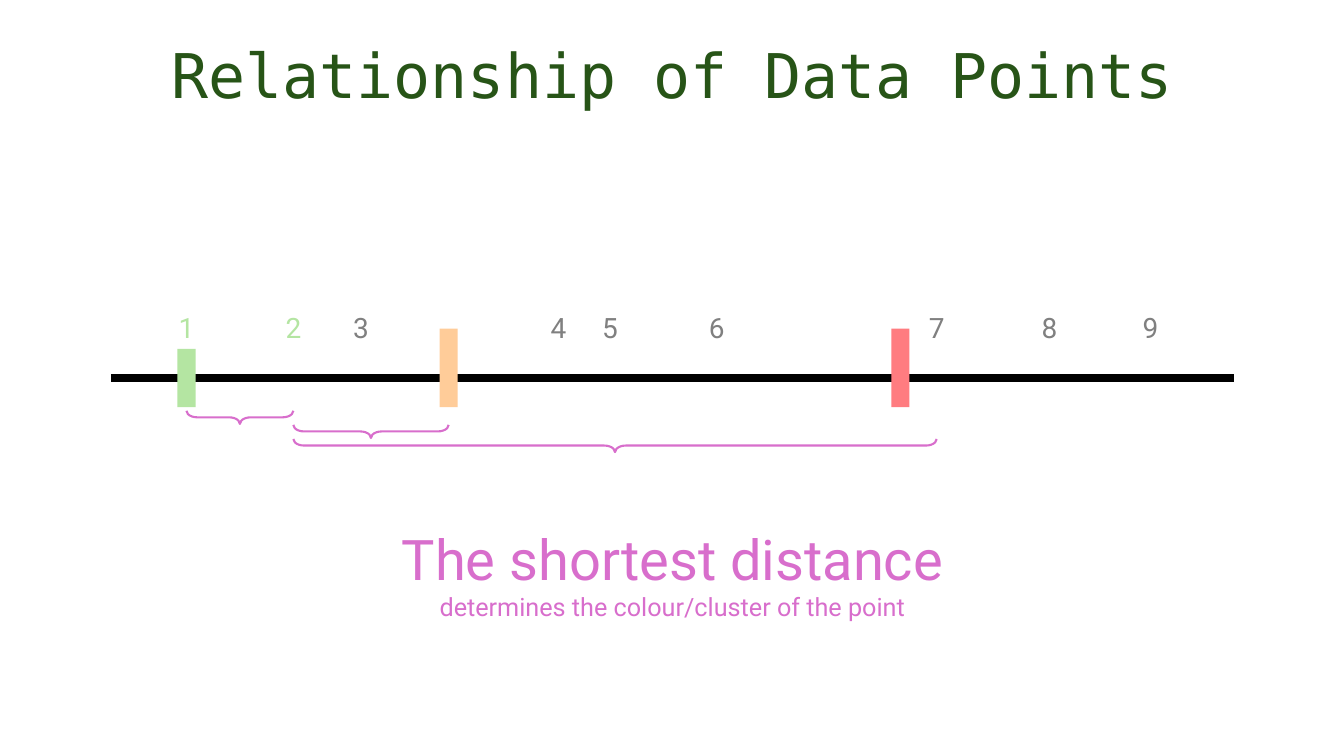
from pptx import Presentation
from pptx.dml.color import RGBColor
from pptx.enum.shapes import MSO_CONNECTOR, MSO_SHAPE
from pptx.enum.text import MSO_ANCHOR, PP_ALIGN
from pptx.oxml.ns import qn
from pptx.util import Inches, Pt
from lxml import etree

STRAIGHT = MSO_CONNECTOR.STRAIGHT
RECTANGLE, LEFT_BRACE = MSO_SHAPE.RECTANGLE, MSO_SHAPE.LEFT_BRACE
CENTER, TOP = PP_ALIGN.CENTER, MSO_ANCHOR.TOP

BLACK = RGBColor(0x00, 0x00, 0x00)
GRAY = RGBColor(0x80, 0x80, 0x80)
DARK_GREEN = RGBColor(0x27, 0x54, 0x17)
GREEN = RGBColor(0xB4, 0xE5, 0xA2)
ORANGE = RGBColor(0xFF, 0xCC, 0x99)
RED = RGBColor(0xFF, 0x7C, 0x80)
PINK = RGBColor(0xD8, 0x6E, 0xCC)

deck = Presentation()
deck.slide_width, deck.slide_height = Inches(13.33), Inches(7.5)
page = deck.slides.add_slide(deck.slide_layouts[6])


def add_text(left, top, width, height, lines, font_name, color):
    box = page.shapes.add_textbox(Inches(left), Inches(top), Inches(width), Inches(height))
    frame = box.text_frame
    frame.word_wrap = True
    frame.vertical_anchor = TOP
    for index, (text, size) in enumerate(lines):
        para = frame.add_paragraph() if index else frame.paragraphs[0]
        para.text = text
        para.alignment = CENTER
        para.font.name = font_name
        para.font.size = Pt(size)
        para.font.color.rgb = color
    return frame


# Number line, centred on the slide's height
AXIS_LEFT, AXIS_RIGHT, AXIS_Y = 1.1, 12.24, 3.75
axis = page.shapes.add_connector(
    STRAIGHT, Inches(AXIS_LEFT), Inches(AXIS_Y), Inches(AXIS_RIGHT), Inches(AXIS_Y))
axis.line.color.rgb = BLACK
axis.line.width = Pt(6)
etree.SubElement(axis._element.spPr, qn("a:effectLst"))

# Cluster markers: centre, top, colour; all end on one level
MARKER_WIDTH, MARKER_BOTTOM = 0.18, 4.04
for center, top, color in [(8.93, 3.26, RED), (4.45, 3.26, ORANGE), (1.85, 3.46, GREEN)]:
    marker = page.shapes.add_shape(
        RECTANGLE, Inches(center - MARKER_WIDTH / 2), Inches(top),
        Inches(MARKER_WIDTH), Inches(MARKER_BOTTOM - top))
    marker.shadow.inherit = False
    marker.fill.solid()
    marker.fill.fore_color.rgb = color
    marker.line.fill.background()

# Title
title = add_text(0.92, 0.4, 11.5, 1.45, [("Relationship of Data Points", 44)],
                 "DejaVu Sans Mono", DARK_GREEN)
title.paragraphs[0].line_spacing = 0.9

# Distance braces, one level below the other, turned to open upwards
BRACE_DEPTH, FIRST_LEVEL, LEVEL_STEP = 0.13, 4.14, 0.14
for level, (start, end) in enumerate([(1.85, 2.91), (2.91, 4.45), (2.91, 9.29)]):
    length = end - start
    middle_x, middle_y = (start + end) / 2, FIRST_LEVEL + level * LEVEL_STEP
    brace = page.shapes.add_shape(
        LEFT_BRACE, Inches(middle_x - BRACE_DEPTH / 2), Inches(middle_y - length / 2),
        Inches(BRACE_DEPTH), Inches(length))
    brace.rotation = 270
    brace.adjustments[0] = 0.823
    brace.shadow.inherit = False
    brace.fill.background()
    brace.line.color.rgb = PINK
    brace.line.width = Pt(1.5)

# Data points, numbered from left to right
LABEL_WIDTH, LABEL_HEIGHT, LABEL_TOP = 0.55, 0.44, 3.03
point_centers = [1.85, 2.91, 3.58, 5.54, 6.05, 7.11, 9.29, 10.41, 11.41]
for number, center in enumerate(point_centers, start=1):
    add_text(center - LABEL_WIDTH / 2, LABEL_TOP, LABEL_WIDTH, LABEL_HEIGHT,
             [(str(number), 20)], "Roboto", GREEN if number <= 2 else GRAY)

# Conclusion
add_text(3.22, 5.15, 6.9, 1.08,
         [("The shortest distance", 40), ("determines the colour/cluster of the point", 18)],
         "Roboto", PINK)

deck.save("out.pptx")
